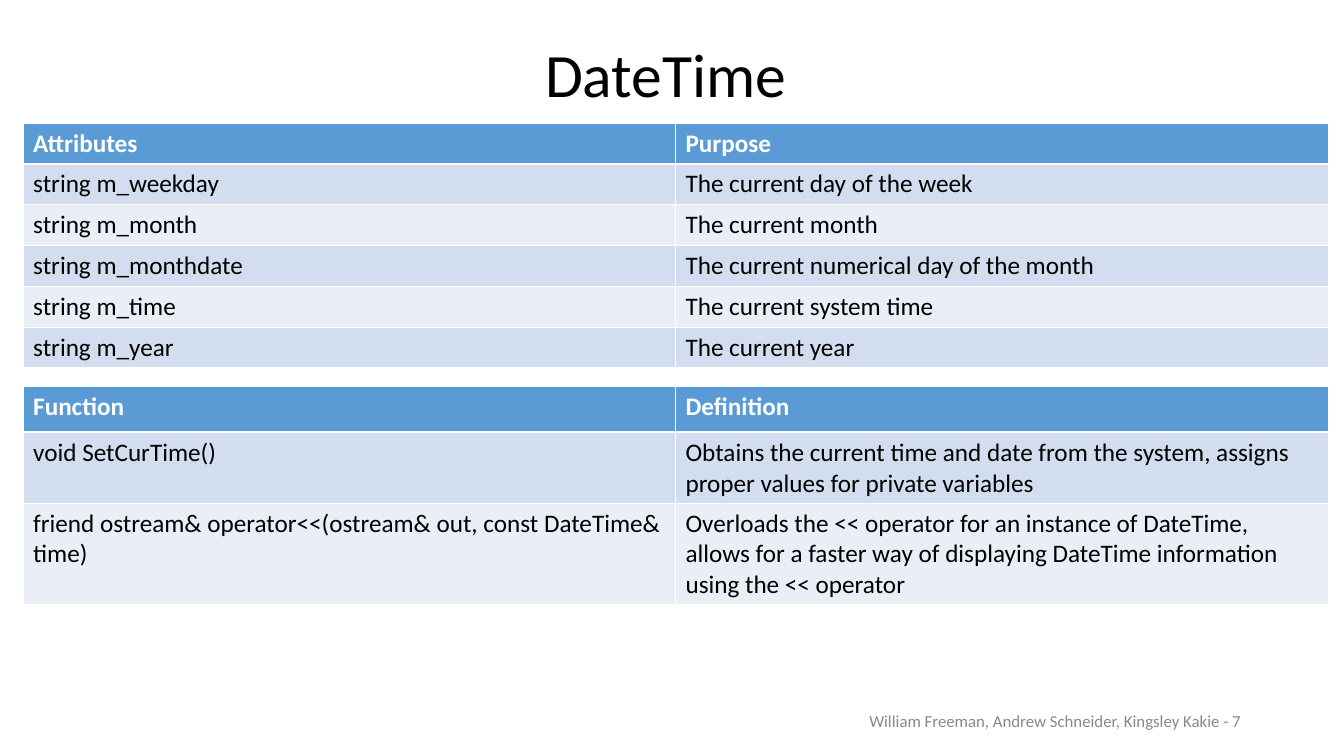
"""Build the DateTime class slide with its attribute and function tables."""
from dataclasses import dataclass

from lxml import etree
from pptx import Presentation
from pptx import util as u
from pptx.dml.color import RGBColor
from pptx.enum import text
from pptx.oxml import ns

WHITE = RGBColor(0xFF, 0xFF, 0xFF)
BLACK = RGBColor(0x00, 0x00, 0x00)
GRAY = RGBColor(0x89, 0x89, 0x89)
HEADER_BLUE = RGBColor(0x5B, 0x9B, 0xD5)
BANDS = (RGBColor(0xEA, 0xEF, 0xF7), RGBColor(0xD2, 0xDE, 0xEF))
FONT = "Calibri"
TABLE_LEFT, TABLE_WIDTH = 0.23, 12.95
THIN, THICK = 0.45, 1.47


@dataclass(frozen=True)
class Label:
    """A single line of free text."""
    words: str
    box: tuple[float, float, float, float]
    size: float
    color: RGBColor
    align: text.PP_ALIGN


@dataclass(frozen=True)
class Members:
    """A table of class members, header row first."""
    top: float
    heights: tuple[float, ...]
    rows: tuple[tuple[str, str], ...]


LABELS = (
    Label("DateTime", (0.86, 0, 11.5, 1.45), 44, BLACK, text.PP_ALIGN.CENTER),
    Label("William Freeman, Andrew Schneider, Kingsley Kakie - 7",
          (8.47, 6.95, 3.95, 0.4), 12, GRAY, text.PP_ALIGN.RIGHT),
)
TABLES = (
    Members(1.22, (0.405,) * 6, (
        ("Attributes", "Purpose"),
        ("string m_weekday", "The current day of the week"),
        ("string m_month", "The current month"),
        ("string m_monthdate", "The current numerical day of the month"),
        ("string m_time", "The current system time"),
        ("string m_year", "The current year"),
    )),
    Members(3.83, (0.46, 0.7, 1), (
        ("Function", "Definition"),
        ("void SetCurTime()",
         "Obtains the current time and date from the system, "
         "assigns proper values for private variables"),
        ("friend ostream& operator<<(ostream& out, const DateTime& time)",
         "Overloads the << operator for an instance of DateTime, allows for a "
         "faster way of displaying DateTime information using the << operator"),
    )),
)


def add_run(paragraph, words: str, size: float, color: RGBColor, bold: bool = False) -> None:
    """Add one styled run to a paragraph."""
    run = paragraph.add_run()
    run.text = words
    run.font.name = FONT
    run.font.size = u.Pt(size)
    run.font.bold = bold
    run.font.color.rgb = color


def add_label(slide, label: Label) -> None:
    """Draw a label as a vertically centred text box."""
    frame = slide.shapes.add_textbox(*map(u.Inches, label.box)).text_frame
    frame.word_wrap = True
    frame.vertical_anchor = text.MSO_ANCHOR.MIDDLE
    paragraph = frame.paragraphs[0]
    paragraph.alignment = label.align
    add_run(paragraph, label.words, label.size, label.color)


def set_borders(cell, row: int) -> None:
    """Give a cell white borders, thick beneath the header row."""
    widths = {"L": THIN, "R": THIN, "T": THICK if row == 1 else THIN,
              "B": THICK if row == 0 else THIN}
    properties = cell._tc.get_or_add_tcPr()
    for side, width in widths.items():
        line = etree.SubElement(properties, ns.qn(f"a:ln{side}"), w=str(u.Pt(width)))
        fill = etree.SubElement(line, ns.qn("a:solidFill"))
        etree.SubElement(fill, ns.qn("a:srgbClr"), val=str(WHITE))


def add_members(slide, members: Members) -> None:
    """Draw a member table with a blue header and banded rows."""
    table = slide.shapes.add_table(
        len(members.rows), 2, u.Inches(TABLE_LEFT), u.Inches(members.top),
        u.Inches(TABLE_WIDTH), u.Inches(sum(members.heights))).table
    for row, (height, entries) in enumerate(zip(members.heights, members.rows)):
        table.rows[row].height = u.Inches(height)
        header = row == 0
        for column, words in enumerate(entries):
            cell = table.cell(row, column)
            set_borders(cell, row)
            cell.fill.solid()
            cell.fill.fore_color.rgb = HEADER_BLUE if header else BANDS[row % 2]
            add_run(cell.text_frame.paragraphs[0], words, 18,
                    WHITE if header else BLACK, header)


def main() -> None:
    """Assemble and save the slide."""
    deck = Presentation()
    deck.slide_width, deck.slide_height = u.Inches(13.34), u.Inches(7.5)
    slide = deck.slides.add_slide(deck.slide_layouts[6])
    for label in LABELS:
        add_label(slide, label)
    for members in TABLES:
        add_members(slide, members)
    deck.save("out.pptx")


if __name__ == "__main__":
    main()
